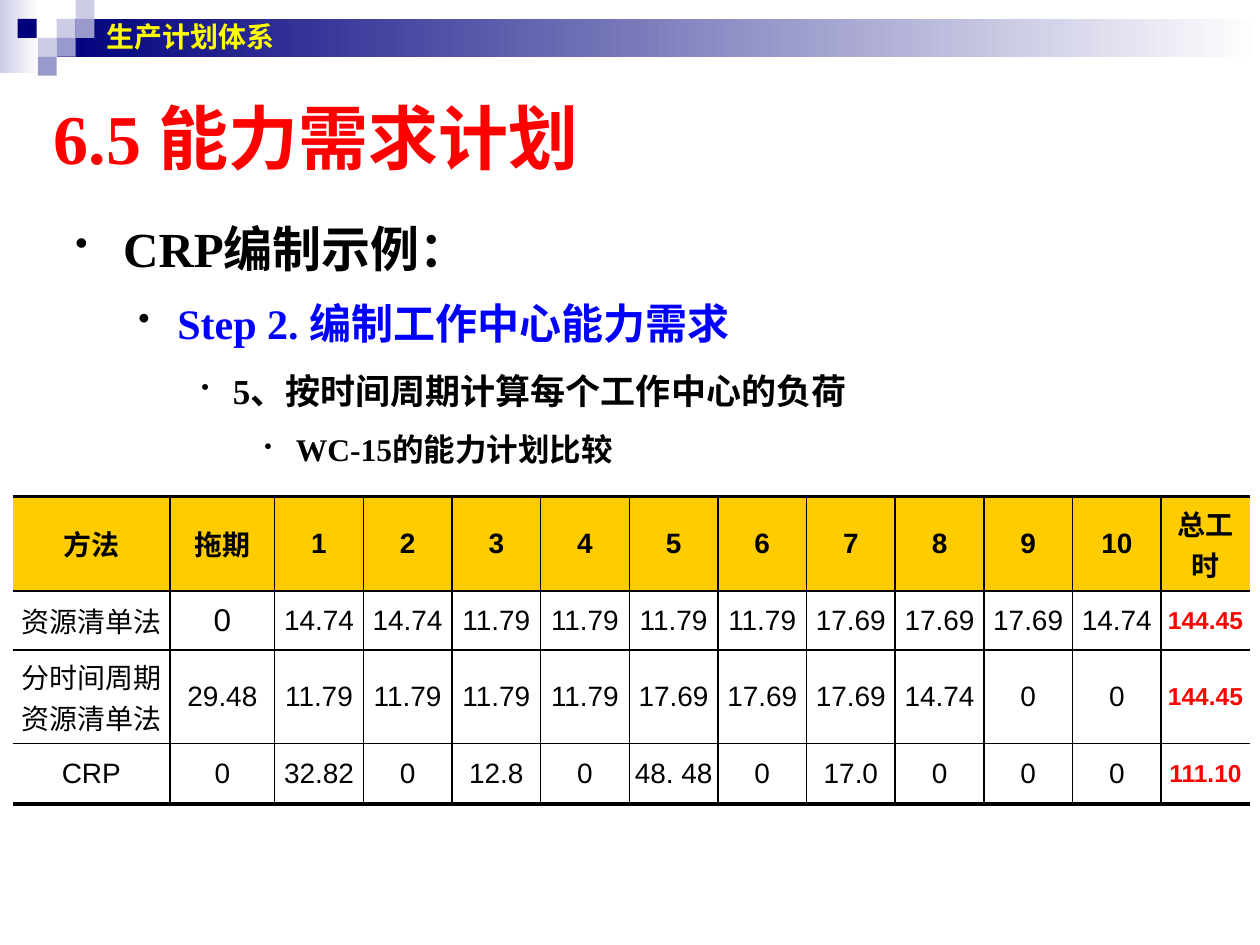
"""Builds the capacity requirements planning slide with its load comparison table."""
import pptx
import pptx.dml.color
import pptx.enum.shapes
import pptx.enum.text
import pptx.oxml
import pptx.oxml.ns
import pptx.util

Inches = pptx.util.Inches
Pt = pptx.util.Pt
MIDDLE = pptx.enum.text.MSO_ANCHOR.MIDDLE
CENTER = pptx.enum.text.PP_ALIGN.CENTER

COLORS = {
    "navy": "00007D", "lilac": "CCCCE6", "violet": "9999CC", "white": "FFFFFF",
    "red": "FF0000", "blue": "0000FF", "black": "000000", "yellow": "FFFF00",
    "gold": "FFCC00",
}
TILE = 0.15
TILES = [
    (0.45, 0.15, "lilac"), (0.6, 0, "lilac"), (0.6, 0.15, "violet"),
    (0.3, 0.3, "lilac"), (0.14, 0.15, "navy"), (0.45, 0.3, "violet"),
    (0.3, 0.45, "violet"),
]
OUTLINE = [
    ("CRP编制示例：", 28, "black", 0.38, 0.38, 1.4, 75),
    ("Step 2. 编制工作中心能力需求", 24, "blue", 0.81, 0.31, 1.4, 80),
    ("5、按时间周期计算每个工作中心的负荷", 20, "black", 1.25, 0.25, 1.5, 65),
    ("WC-15的能力计划比较", 18, "black", 1.75, 0.25, 1.5, 70),
]
LOADS = [
    ["方法", "拖期", *map(str, range(1, 11)), "总工时"],
    ["资源清单法", "0", "14.74", "14.74", "11.79", "11.79", "11.79", "11.79",
     "17.69", "17.69", "17.69", "14.74", "144.45"],
    ["分时间周期资源清单法", "29.48", "11.79", "11.79", "11.79", "11.79", "17.69",
     "17.69", "17.69", "14.74", "0", "0", "144.45"],
    ["CRP", "0", "32.82", "0", "12.8", "0", "48. 48", "0", "17.0", "0", "0", "0",
     "111.10"],
]
TABLE_WIDTH = 9.82
LEAD_WIDTHS = [1.25, 0.83]
ROW_HEIGHTS = [0.75, 0.47, 0.74, 0.48]


def rgb(color):
    return pptx.dml.color.RGBColor.from_string(COLORS[color])


def place(left, top, width, height):
    return [Inches(length) for length in (left, top, width, height)]


def add_block(slide, box, color, fade_to=None):
    block = slide.shapes.add_shape(
        pptx.enum.shapes.MSO_SHAPE.RECTANGLE, *place(*box))
    block.shadow.inherit = False
    block.line.fill.background()
    if fade_to:
        block.fill.gradient()
        block.fill.gradient_angle = 0
        for stop, shade in zip(block.fill.gradient_stops, (color, fade_to)):
            stop.color.rgb = rgb(shade)
    else:
        block.fill.solid()
        block.fill.fore_color.rgb = rgb(color)


def write(paragraph, text, size, color, name, bold=True):
    run = paragraph.add_run()
    run.text = text
    run.font.color.rgb = rgb(color)
    style = {"size": Pt(size), "name": name, "bold": bold}
    for attribute, value in style.items():
        setattr(run.font, attribute, value)


def add_text_frame(slide, box, anchor):
    frame = slide.shapes.add_textbox(*place(*box)).text_frame
    frame.word_wrap = True
    frame.vertical_anchor = anchor
    return frame


def add_bullet(paragraph, indent, hanging, percent):
    properties = paragraph._p.get_or_add_pPr()
    properties.set("marL", str(Inches(indent)))
    properties.set("indent", str(-Inches(hanging)))
    namespace = pptx.oxml.ns.nsdecls("a")
    for element in (
        f'<a:buClr {namespace}><a:srgbClr val="{COLORS["black"]}"/></a:buClr>',
        f'<a:buSzPct {namespace} val="{percent * 1000}"/>',
        f'<a:buChar {namespace} char="•"/>',
    ):
        properties.append(pptx.oxml.parse_xml(element))


def add_outline(slide):
    frame = add_text_frame(
        slide, (0.5, 1.5, 9.17, 2.5), pptx.enum.text.MSO_ANCHOR.TOP)
    for level, item in enumerate(OUTLINE):
        text, size, color, indent, hanging, spacing, percent = item
        paragraph = frame.add_paragraph() if level else frame.paragraphs[0]
        add_bullet(paragraph, indent, hanging, percent)
        paragraph.level = level
        paragraph.line_spacing = spacing
        write(paragraph, text, size, color, "Times New Roman")


def set_borders(cell, widths):
    namespace = pptx.oxml.ns.nsdecls("a")
    properties = cell._tc.get_or_add_tcPr()
    for side, width in widths.items():
        paint = (f'<a:solidFill><a:srgbClr val="{COLORS["black"]}"/></a:solidFill>'
                 if width else "<a:noFill/>")
        properties.append(pptx.oxml.parse_xml(
            f'<a:ln{side} {namespace} w="{Pt(width)}">{paint}</a:ln{side}>'))


def fill_cell(cell, text, row, column):
    last_row, last_column = len(LOADS) - 1, len(LOADS[0]) - 1
    set_borders(cell, {
        "L": 1 if column else 0,
        "R": 1 if column < last_column else 0,
        "T": 1 if row else 2.25,
        "B": 1 if row < last_row else 2.25,
    })
    layout = {
        "vertical_anchor": MIDDLE,
        "margin_left": Inches(0.04), "margin_right": Inches(0.04),
        "margin_top": Inches(0.05), "margin_bottom": Inches(0.05),
    }
    for attribute, value in layout.items():
        setattr(cell, attribute, value)
    if row == 0:
        cell.fill.solid()
        cell.fill.fore_color.rgb = rgb("gold")
    else:
        cell.fill.background()
    total = row > 0 and column == last_column
    size = 14 if total else 18 if (row, column) == (1, 1) else 16
    paragraph = cell.text_frame.paragraphs[0]
    paragraph.alignment = CENTER
    write(paragraph, text, size, "red" if total else "black", "Arial",
          bold=total or row == 0)


def add_load_table(slide):
    columns = len(LOADS[0])
    loads = slide.shapes.add_table(
        len(LOADS), columns,
        *place(0.1, 3.94, TABLE_WIDTH, sum(ROW_HEIGHTS))).table
    loads.first_row = False
    loads.horz_banding = False
    periods = columns - len(LEAD_WIDTHS)
    period_width = (TABLE_WIDTH - sum(LEAD_WIDTHS)) / periods
    for column, width in zip(loads.columns, LEAD_WIDTHS + [period_width] * periods):
        column.width = Inches(width)
    for row, height in zip(loads.rows, ROW_HEIGHTS):
        row.height = Inches(height)
    for row, values in enumerate(LOADS):
        for column, text in enumerate(values):
            fill_cell(loads.cell(row, column), text, row, column)


def main():
    deck = pptx.Presentation()
    deck.slide_width, deck.slide_height = Inches(10), Inches(7.5)
    slide = deck.slides.add_slide(deck.slide_layouts[6])
    add_block(slide, (0, 0, 0.31, 0.58), "lilac", "white")
    add_block(slide, (0.45, 0.15, 9.55, 0.3), "navy", "white")
    for left, top, color in TILES:
        add_block(slide, (left, top, TILE, TILE), color)
    title = add_text_frame(slide, (0.33, 0.75, 9, 0.67), MIDDLE)
    write(title.paragraphs[0], "6.5 能力需求计划", 40, "red", "Times New Roman")
    add_outline(slide)
    banner = add_text_frame(slide, (0.75, 0, 8.83, 0.58), MIDDLE)
    write(banner.paragraphs[0], "生产计划体系", 16, "yellow", "Arial")
    add_load_table(slide)
    deck.save("out.pptx")


if __name__ == "__main__":
    main()
